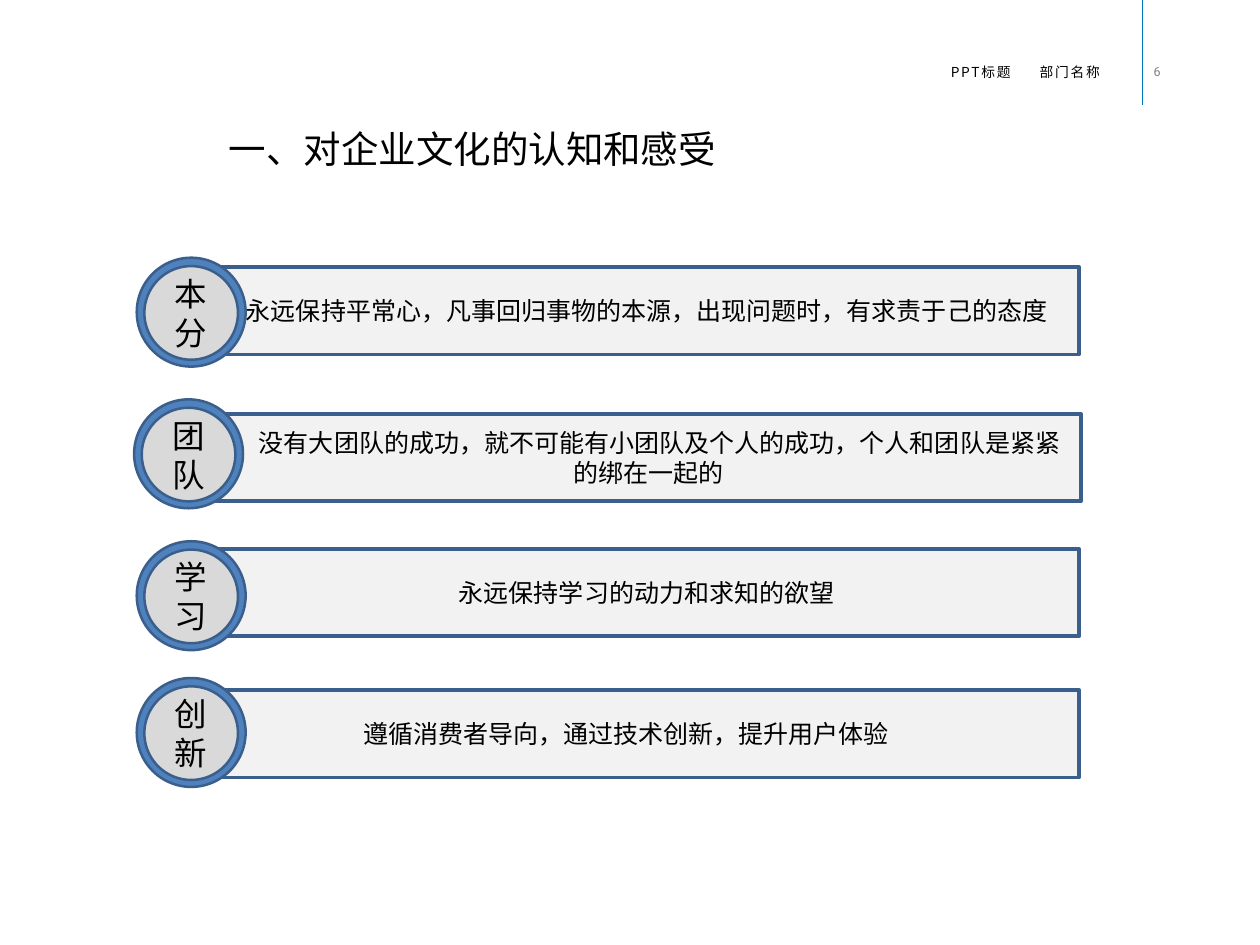
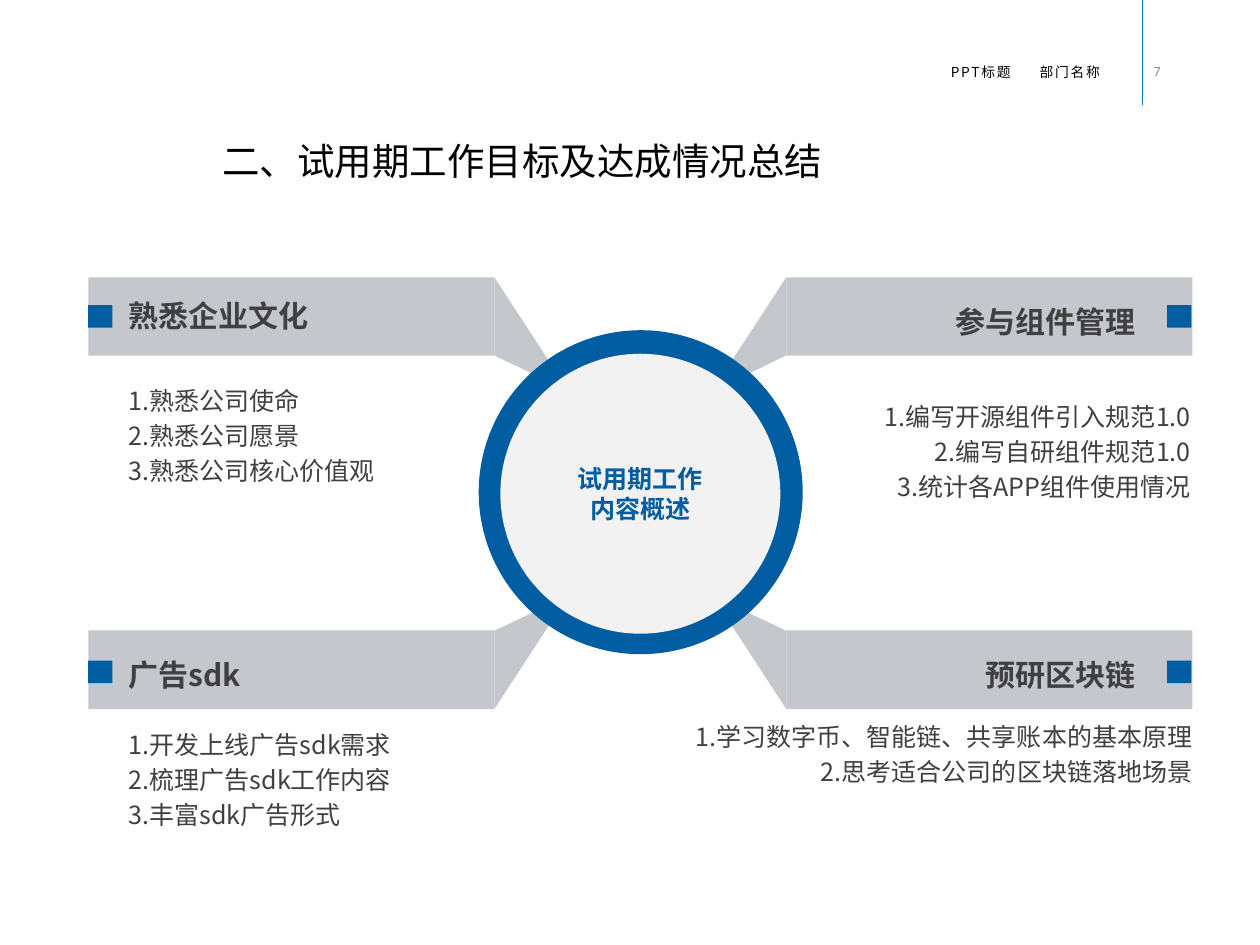
import dataclasses

import lxml.etree
import pptx
import pptx.dml.color
import pptx.enum.shapes
import pptx.enum.text
import pptx.oxml.ns
import pptx.util

Pt = pptx.util.Pt
RGB = pptx.dml.color.RGBColor.from_string
Shape = pptx.enum.shapes.MSO_SHAPE
Align = pptx.enum.text.PP_ALIGN
Anchor = pptx.enum.text.MSO_ANCHOR
qn = pptx.oxml.ns.qn


@dataclasses.dataclass(frozen=True)
class Theme:
    font: str = "Noto Sans CJK SC"
    number_font: str = "Roboto"
    black: str = "000000"
    body: str = "404040"
    page_number: str = "808080"
    rule: str = "0076B8"
    outline: str = "3A5F8C"
    ring: str = "4F81BD"
    disc: str = "D9D9D9"
    panel: str = "F2F2F2"
    band: str = "C4C7CB"
    accent: str = "005DA2"
    title_size: int = 30
    value_size: int = 26
    heading_size: int = 24
    body_size: int = 20
    header_size: int = 11
    number_size: int = 10


theme = Theme()


def write_text(frame, text, size, colour, align=Align.LEFT, anchor=Anchor.TOP,
               bold=False, font=theme.font, side_inset=7.2, space_before=0):
    frame.text = text
    frame.word_wrap = True
    frame.auto_size = pptx.enum.text.MSO_AUTO_SIZE.NONE
    frame.vertical_anchor = anchor
    frame.margin_left = frame.margin_right = Pt(side_inset)
    frame.margin_top = frame.margin_bottom = Pt(3.6)
    for para in frame.paragraphs:
        para.alignment = align
        para.space_before = Pt(space_before)
        for span in para.runs:
            span.font.name = font
            span.font.size = Pt(size)
            span.font.bold = bold
            span.font.color.rgb = RGB(colour)
            east_asian = lxml.etree.SubElement(span.font._element, qn("a:ea"))
            east_asian.set("typeface", font)


def paint(shape, fill, line=None, width=0):
    shape.shadow.inherit = False
    shape.fill.solid()
    shape.fill.fore_color.rgb = RGB(fill)
    if line:
        shape.line.color.rgb = RGB(line)
        shape.line.width = Pt(width)
    else:
        shape.line.fill.background()
    return shape


deck = pptx.Presentation()
deck.slide_width, deck.slide_height = Pt(1008), Pt(756)

# Shared title and header on both pages
titles = [
    (6, "一、对企业文化的认知和感受", (175.7, 97.3, 477.4, 49)),
    (7, "二、试用期工作目标及达成情况总结", (170.6, 106.7, 499, 44)),
]
pages = []
for number, title, place in titles:
    page = deck.slides.add_slide(deck.slide_layouts[5])
    pages.append(page)
    heading = page.shapes.title
    heading.left, heading.top, heading.width, heading.height = map(Pt, place)
    write_text(heading.text_frame, title, theme.title_size, theme.black)

    rule = page.shapes.add_connector(
        pptx.enum.shapes.MSO_CONNECTOR.STRAIGHT, Pt(913.7), Pt(-3), Pt(913.7), Pt(84.3))
    rule.line.color.rgb = RGB(theme.rule)
    rule.line.width = Pt(0.5)
    lxml.etree.SubElement(rule._element.spPr, qn("a:effectLst"))

    box = page.shapes.add_textbox(Pt(915.8), Pt(47.5), Pt(49), Pt(19.4))
    write_text(box.text_frame, str(number), theme.number_size, theme.page_number,
               font=theme.number_font)

    box = page.shapes.add_textbox(Pt(750.2), Pt(47.5), Pt(149), Pt(20.9))
    write_text(box.text_frame, "PPT标题\t部门名称", theme.header_size, theme.black,
               side_inset=10.5)
    para = box.text_frame.paragraphs[0]
    tabs = lxml.etree.SubElement(para._element.get_or_add_pPr(), qn("a:tabLst"))
    lxml.etree.SubElement(tabs, qn("a:tab"), pos=str(Pt(71)), algn="l")
    for span in para.runs:
        span.font._element.set("spc", "140")

culture_page, goals_page = pages

# Culture values: a panel with a ringed label on each row
values = [
    ("本分", "永远保持平常心，凡事回归事物的本源，出现问题时，有求责于己的态度",
     171.4, 213.8, 206.2),
    ("团队", "没有大团队的成功，就不可能有小团队及个人的成功，个人和团队是紧紧的绑在一起的",
     172.8, 331.2, 319.5),
    ("学习", "永远保持学习的动力和求知的欲望", 171.4, 439.2, 433),
    ("创新", "遵循消费者导向，通过技术创新，提升用户体验", 171.4, 552.2, 542.4),
]
ring_size, disc_size = 87.1, 74.9
ring_gap = (ring_size - disc_size) / 2
for name, meaning, panel_left, panel_top, ring_top in values:
    panel = paint(culture_page.shapes.add_shape(
        Shape.RECTANGLE, Pt(panel_left), Pt(panel_top), Pt(691.9), Pt(69.8)),
        theme.panel, theme.outline, 3)
    write_text(panel.text_frame, meaning, theme.body_size, theme.black,
               Align.CENTER, Anchor.MIDDLE)
    if name == "团队":
        panel.text_frame.paragraphs[0]._element.get_or_add_pPr().set("indent", str(Pt(18)))
    if name == "创新":
        panel.text_frame.margin_right = Pt(40)

    ring_left = 107.3 if name == "团队" else 109.4
    paint(culture_page.shapes.add_shape(
        Shape.OVAL, Pt(ring_left), Pt(ring_top), Pt(ring_size), Pt(ring_size)),
        theme.ring, theme.outline, 2)
    disc = paint(culture_page.shapes.add_shape(
        Shape.OVAL, Pt(ring_left + ring_gap), Pt(ring_top + ring_gap + 0.6),
        Pt(disc_size), Pt(disc_size)), theme.disc, theme.outline, 2)
    write_text(disc.text_frame, name, theme.value_size, theme.black,
               Align.CENTER, Anchor.MIDDLE)

# Trial period goals: four bands that lead to the centre
# Each: right side, lower half, heading, heading top, items, place of the items
goals = [
    (False, False, "熟悉企业文化", 234.6,
     "1.熟悉公司使命\n2.熟悉公司愿景\n3.熟悉公司核心价值观", (103, 318.2, 230.4, 60.5)),
    (True, False, "参与组件管理", 239,
     "1.编写开源组件引入规范1.0\n2.编写自研组件规范1.0\n3.统计各APP组件使用情况",
     (682.6, 347.6, 270, 27.4)),
    (False, True, "广告sdk", 522,
     "1.开发上线广告sdk需求\n2.梳理广告sdk工作内容\n3.丰富sdk广告形式",
     (103, 583.9, 230.4, 79.2)),
    (True, True, "预研区块链", 522,
     "1.学习数字币、智能链、共享账本的基本原理\n2.思考适合公司的区块链落地场景",
     (550.8, 574.4, 403.2, 57.6)),
]
wedge = [(395.5, 221.8), (445.7, 298.8), (439.2, 305.3), (395.5, 284.4)]
mirror_x, mirror_y = 1024.5, 789.1
for right, lower, heading, heading_top, items, place in goals:
    align = Align.RIGHT if right else Align.LEFT
    paint(goals_page.shapes.add_shape(
        Shape.RECTANGLE, Pt(629 if right else 70.6), Pt(504.3 if lower else 221.8),
        Pt(325), Pt(62.8)), theme.band)

    corners = [(Pt(mirror_x - x if right else x), Pt(mirror_y - y if lower else y))
               for x, y in wedge]
    outline = goals_page.shapes.build_freeform(*corners[0])
    outline.add_line_segments(corners[1:], close=True)
    paint(outline.convert_to_shape(), theme.band)

    paint(goals_page.shapes.add_shape(
        Shape.RECTANGLE, Pt(933.8 if right else 70.6), Pt(528.5 if lower else 244.1),
        Pt(19.4), Pt(18)), theme.accent)

    box = goals_page.shapes.add_textbox(
        Pt(654.5 if right else 103), Pt(heading_top), Pt(254.2), Pt(37.4))
    write_text(box.text_frame, heading, theme.heading_size, theme.body, align,
               bold=True, side_inset=0, space_before=4.8)

    box = goals_page.shapes.add_textbox(*map(Pt, place))
    write_text(box.text_frame, items, theme.body_size, theme.body, align,
               Anchor.MIDDLE, side_inset=0, space_before=4)

# Centre circle
paint(goals_page.shapes.add_shape(
    Shape.OVAL, Pt(383), Pt(264.2), Pt(259.2), Pt(259.2)), theme.accent)
centre = paint(goals_page.shapes.add_shape(
    Shape.OVAL, Pt(400.3), Pt(283), Pt(224), Pt(224)), theme.panel)
write_text(centre.text_frame, "试用期工作\n内容概述", theme.body_size, theme.accent,
           Align.CENTER, Anchor.MIDDLE, bold=True)

deck.save("out.pptx")
